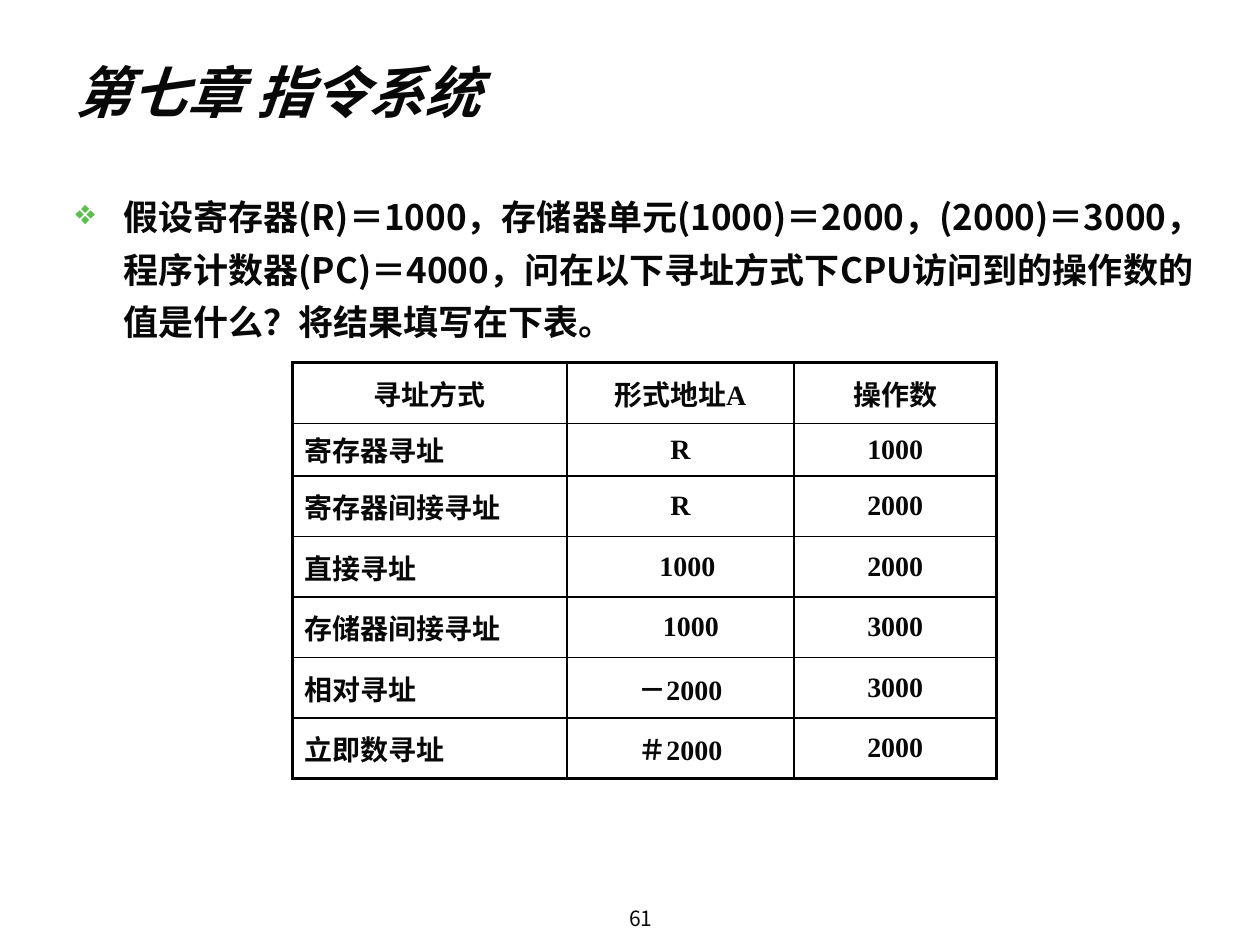
from lxml.etree import SubElement
from pptx import Presentation
from pptx.dml.color import RGBColor
from pptx.enum.text import MSO_ANCHOR, PP_ALIGN
from pptx.oxml import parse_xml
from pptx.oxml.ns import nsdecls, qn
from pptx.util import Inches, Pt

SANS, SERIF = "Noto Sans CJK SC", "Times New Roman"
INK, RULE, BULLET = "080808", "000000", "5BBE4E"
OUTER, INNER = 2, 1  # border widths in points


def color(value):
    return RGBColor.from_string(value)


class ExercisePage:
    """Holds the style and the current slide; lengths are grid units."""

    COLUMNS, ROWS = 40, 30

    def __init__(self, deck):
        self.unit_x = deck.slide_width / self.COLUMNS
        self.unit_y = deck.slide_height / self.ROWS
        self.page = deck.slides.add_slide(deck.slide_layouts[6])

    def x(self, columns):
        return round(columns * self.unit_x)

    def y(self, rows):
        return round(rows * self.unit_y)

    def add_span(self, para, text, face=SANS, **formats):
        span = para.add_run()
        span.text = text
        span.font.name = face
        span.font.color.rgb = color(INK)
        for name, value in formats.items():
            setattr(span.font, name, value)
        east_asian = SubElement(span.font._element, qn("a:ea"))
        east_asian.set("typeface", SANS)

    def text(self, area, text, frame_formats=None, para_formats=None, **formats):
        left, top, width, height = area
        box = self.page.shapes.add_textbox(
            self.x(left), self.y(top), self.x(width), self.y(height))
        frame = box.text_frame
        frame.word_wrap = True
        para = frame.paragraphs[0]
        for target, values in ((frame, frame_formats), (para, para_formats)):
            for name, value in (values or {}).items():
                setattr(target, name, value)
        self.add_span(para, text, **formats)
        return para

    def bullet(self, para, mark, hanging):
        properties = para._p.get_or_add_pPr()
        properties.set("marL", str(hanging))
        properties.set("indent", str(-hanging))
        tint = SubElement(SubElement(properties, qn("a:buClr")), qn("a:srgbClr"))
        tint.set("val", BULLET)
        SubElement(properties, qn("a:buChar")).set("char", mark)

    def borders(self, cell, widths):
        properties = cell._tc.get_or_add_tcPr()
        for index, (side, width) in enumerate(widths.items()):
            properties.insert(index, parse_xml(
                f'<a:ln{side} {nsdecls("a")} w="{Pt(width)}"><a:solidFill>'
                f'<a:srgbClr val="{RULE}"/></a:solidFill></a:ln{side}>'))

    def table(self, left, top, widths, heights, rows, indents):
        grid = self.page.shapes.add_table(
            len(heights), len(widths), self.x(left), self.y(top),
            self.x(sum(widths)), self.y(sum(heights))).table
        grid.first_row = grid.horz_banding = False
        for column, width in zip(grid.columns, widths):
            column.width = self.x(width)
        for row, height in zip(grid.rows, heights):
            row.height = self.y(height)
        last_row, last_column = len(heights) - 1, len(widths) - 1
        for r, row in enumerate(rows):
            for c, text in enumerate(row):
                cell = grid.cell(r, c)
                cell.fill.background()
                cell.vertical_anchor = MSO_ANCHOR.MIDDLE
                para = cell.text_frame.paragraphs[0]
                is_label = r > 0 and c == 0
                para.alignment = PP_ALIGN.LEFT if is_label else PP_ALIGN.CENTER
                if (r, c) in indents:
                    para._p.get_or_add_pPr().set("marL", str(indents[r, c]))
                self.add_span(para, text, SERIF, size=Pt(16), bold=True)
                self.borders(cell, {
                    "L": OUTER if c == 0 else INNER,
                    "R": OUTER if c == last_column else INNER,
                    "T": OUTER if r == 0 else INNER,
                    "B": OUTER if r == last_row else INNER})


def main():
    deck = Presentation()
    deck.slide_width, deck.slide_height = Inches(10), Inches(7.5)
    exercise = ExercisePage(deck)

    # Chapter title
    exercise.text((2, 1, 36, 3.8), "第七章 指令系统",
                  {"vertical_anchor": MSO_ANCHOR.MIDDLE},
                  size=Pt(32), bold=True, italic=True)

    # Question
    question = exercise.text(
        (2, 5.68, 36.6, 22),
        "假设寄存器(R)＝1000，存储器单元(1000)＝2000，(2000)＝3000，"
        "程序计数器(PC)＝4000，问在以下寻址方式下CPU访问到的操作数的值是什么？"
        "将结果填写在下表。",
        para_formats={"line_spacing": Pt(30)}, size=Pt(20), bold=True)
    exercise.bullet(question, "❖", Inches(0.38))

    # Addressing modes with their operands
    rows = [
        ("寻址方式", "形式地址A", "操作数"),
        ("寄存器寻址", "R", "1000"),
        ("寄存器间接寻址", "R", "2000"),
        ("直接寻址", "1000", "2000"),
        ("存储器间接寻址", "1000", "3000"),
        ("相对寻址", "－2000", "3000"),
        ("立即数寻址", "＃2000", "2000"),
    ]
    exercise.table(9.28, 11.52, [8.72, 7.2, 6.44], [1.92, 1.68] + [1.92] * 5,
                   rows, indents={(3, 1): Pt(8), (4, 1): Pt(12)})

    # Page number
    exercise.text((14, 28.6, 12.68, 1.08), "61",
                  {"vertical_anchor": MSO_ANCHOR.MIDDLE,
                   "margin_top": 0, "margin_bottom": 0},
                  {"alignment": PP_ALIGN.CENTER}, size=Pt(12))

    deck.save("out.pptx")


if __name__ == "__main__":
    main()
